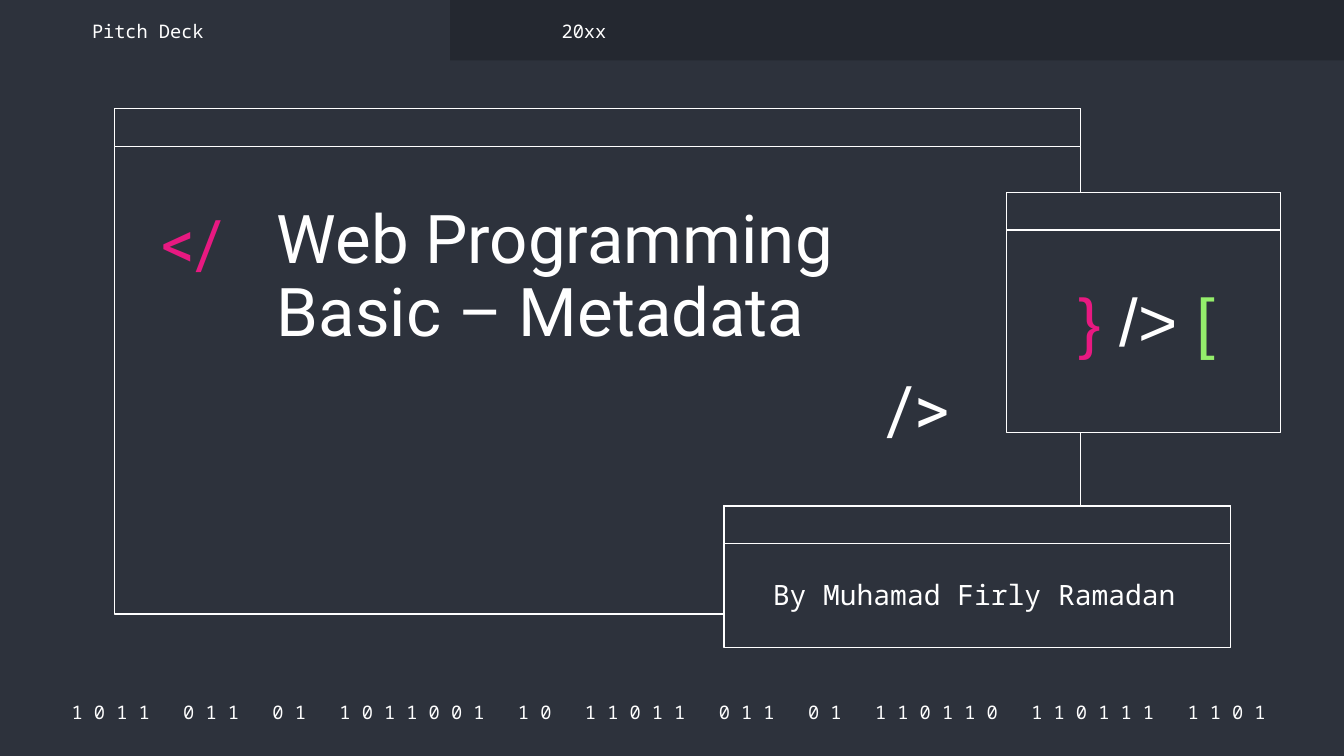
from dataclasses import dataclass

from pptx import Presentation
from pptx.dml.color import RGBColor
from pptx.enum.shapes import MSO_SHAPE
from pptx.enum.text import MSO_ANCHOR, MSO_AUTO_SIZE, PP_ALIGN
from pptx.util import Pt

RECT = MSO_SHAPE.RECTANGLE
TOP, MIDDLE = MSO_ANCHOR.TOP, MSO_ANCHOR.MIDDLE
LEFT, CENTER = PP_ALIGN.LEFT, PP_ALIGN.CENTER
NO_FIT = MSO_AUTO_SIZE.NONE

COLORS = {
    "navy": "2D323C",
    "dark": "242830",
    "white": "FFFFFF",
    "pink": "E81981",
    "green": "94EE6B",
}
MONO, SANS, SYMBOL = "Noto Sans Mono", "Roboto", "Arial"
BAR_HEIGHT = 20.2
INSET = 7.2


@dataclass
class Box:
    x: float
    y: float
    w: float
    h: float


@dataclass
class Label:
    box: Box
    runs: list[tuple[str, str]]
    font: str
    size: float
    align: PP_ALIGN = LEFT
    anchor: MSO_ANCHOR = MIDDLE
    spacing: float = 1.0


WINDOWS = [
    Box(61.2, 58.2, 517.8, 270.7),
    Box(387.8, 271, 271.4, 75.8),
    Box(539.2, 103.1, 146.8, 128.8),
]

BINARY = Label(
    Box(27.4, 374.4, 667.4, 14.4),
    [("1 0 1 1   0 1 1   0 1   1 0 1 1 0 0 1   1 0   1 1 0 1 1   0 1 1   0 1   "
      "1 1 0 1 1 0   1 1 0 1 1 1   1 1 0 1 ", "white")],
    MONO, 10, CENTER)
TITLE = Label(Box(141.1, 103, 326.9, 131.8),
              [("Web Programming Basic – Metadata", "white")],
              SANS, 36, anchor=TOP, spacing=0.9)
SUBTITLE = Label(Box(406.8, 297.4, 239.8, 41.8),
                 [("By Muhamad Firly Ramadan", "white")], MONO, 15)
LABELS = [
    Label(Box(79.2, 108.7, 55.4, 47.5), [("</", "pink")], SANS, 36, spacing=0.9),
    Label(Box(468, 197.3, 55.4, 47.5), [("/>", "white")], SANS, 36, spacing=0.9),
    Label(Box(566.6, 147.6, 95.8, 59),
          [("}", "pink"), (" /> ", "white"), ("[", "green")],
          SYMBOL, 36, CENTER, TOP, 0.9),
    Label(Box(42.2, 9.4, 157.7, 14.4), [("Pitch Deck", "white")], MONO, 10),
    Label(Box(293.8, 9.4, 157.7, 14.4), [("20xx", "white")], MONO, 10),
]


def rgb(name: str) -> RGBColor:
    return RGBColor.from_string(COLORS[name])


def lengths(box: Box) -> list[Pt]:
    return [Pt(v) for v in (box.x, box.y, box.w, box.h)]


def add_rect(shapes, box: Box, fill: str, line: str | None = None) -> None:
    sp = shapes.add_shape(RECT, *lengths(box))
    sp.shadow.inherit = False
    sp.fill.solid()
    sp.fill.fore_color.rgb = rgb(fill)
    if line:
        sp.line.color.rgb = rgb(line)
        sp.line.width = Pt(0.75)
    else:
        sp.line.fill.background()


def add_window(shapes, box: Box) -> None:
    group = shapes.add_group_shape()
    for h in (box.h, BAR_HEIGHT):
        add_rect(group.shapes, Box(box.x, box.y, box.w, h), "navy", "white")


def write_label(sp, label: Label) -> None:
    sp.left, sp.top, sp.width, sp.height = lengths(label.box)
    tf = sp.text_frame
    frame = {"word_wrap": True, "auto_size": NO_FIT, "vertical_anchor": label.anchor}
    frame |= {f"margin_{side}": Pt(INSET) for side in ("left", "top", "right", "bottom")}
    for name, value in frame.items():
        setattr(tf, name, value)
    p = tf.paragraphs[0]
    for name, value in {"alignment": label.align, "line_spacing": label.spacing,
                        "space_before": Pt(0)}.items():
        setattr(p, name, value)
    for text, color in label.runs:
        r = p.add_run()
        r.text = text
        for name, value in {"name": label.font, "size": Pt(label.size),
                            "bold": False}.items():
            setattr(r.font, name, value)
        r.font.color.rgb = rgb(color)


def add_label(shapes, label: Label) -> None:
    write_label(shapes.add_textbox(*lengths(label.box)), label)


def main() -> None:
    prs = Presentation()
    prs.slide_width, prs.slide_height = Pt(720), Pt(405)
    s = prs.slides.add_slide(prs.slide_layouts[0])
    s.background.fill.solid()
    s.background.fill.fore_color.rgb = rgb("navy")

    add_label(s.shapes, BINARY)
    add_rect(s.shapes, Box(241.2, 0, 478.8, 32.4), "dark")
    for window in WINDOWS:
        add_window(s.shapes, window)
    for sp, label in ((s.shapes.title, TITLE), (s.placeholders[1], SUBTITLE)):
        write_label(sp, label)
        s.shapes.element.append(sp.element)
    for label in LABELS:
        add_label(s.shapes, label)

    prs.save("out.pptx")


if __name__ == "__main__":
    main()
